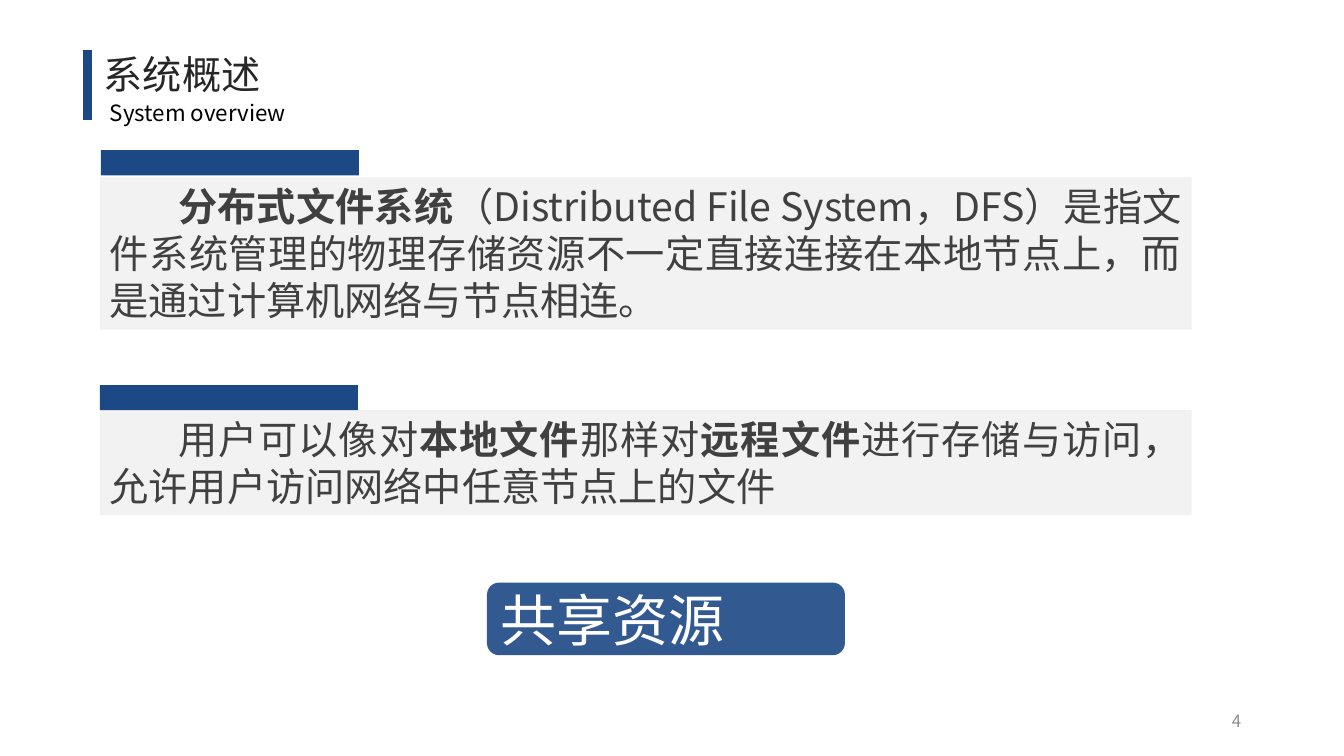
from dataclasses import dataclass

from lxml import etree
from pptx import Presentation
from pptx.dml.color import RGBColor
from pptx.enum.shapes import MSO_CONNECTOR, MSO_SHAPE
from pptx.enum.text import MSO_ANCHOR, PP_ALIGN
from pptx.oxml.ns import qn
from pptx.util import Inches, Pt

RECTANGLE, ROUNDED = MSO_SHAPE.RECTANGLE, MSO_SHAPE.ROUNDED_RECTANGLE
LEFT, RIGHT, JUSTIFY = PP_ALIGN.LEFT, PP_ALIGN.RIGHT, PP_ALIGN.JUSTIFY
TOP, MIDDLE = MSO_ANCHOR.TOP, MSO_ANCHOR.MIDDLE
FONT = "Noto Sans CJK SC"
TITLE_FONT = "Calibri"
COLORS = {
    "blue": "1C4885", "panel": "F2F2F2", "body": "404040", "title": "262626",
    "black": "000000", "number": "8C8C8C", "white": "FFFFFF",
}


@dataclass
class Panel:
    """A grey text panel with a blue tab above it; pieces are (text, bold)."""
    top: float
    height: float
    tab_left: float
    tab_top: float
    pieces: list[tuple[str, bool]]


PANELS = [
    Panel(1.76, 1.51, 1, 1.49, [
        ("分布式文件系统", True),
        ("（Distributed File System，DFS）是指文件系统管理的物理存储资源"
         "不一定直接连接在本地节点上，而是通过计算机网络与节点相连。", False),
    ]),
    Panel(4.07, 1.04, 0.99, 3.82, [
        ("用户可以像对", False),
        ("本地文件", True),
        ("那样对", False),
        ("远程文件", True),
        ("进行存储与访问，允许用户访问网络中任意节点上的文件", False),
    ]),
]


def color(name: str) -> RGBColor:
    return RGBColor.from_string(COLORS[name])


def add_block(slide, kind, left: float, top: float, width: float, height: float, fill: str):
    shape = slide.shapes.add_shape(
        kind, Inches(left), Inches(top), Inches(width), Inches(height))
    shape.shadow.inherit = False
    shape.fill.solid()
    shape.fill.fore_color.rgb = color(fill)
    shape.line.fill.background()
    return shape


def write(shape, pieces: list[tuple[str, bool]], size: float, text_color: str,
          align=LEFT, anchor=TOP, font_name: str = FONT):
    frame = shape.text_frame
    frame.word_wrap = True
    frame.vertical_anchor = anchor
    paragraph = frame.paragraphs[0]
    paragraph.alignment = align
    for text, bold in pieces:
        run = paragraph.add_run()
        run.text = text
        if bold:
            run.font.bold = True
    paragraph.font.name = font_name
    paragraph.font.size = Pt(size)
    paragraph.font.color.rgb = color(text_color)
    return paragraph


def add_label(slide, left: float, top: float, width: float, height: float,
              text: str, size: float, text_color: str, align=LEFT, anchor=TOP) -> None:
    box = slide.shapes.add_textbox(
        Inches(left), Inches(top), Inches(width), Inches(height))
    write(box, [(text, False)], size, text_color, align, anchor)


def add_panel(slide, panel: Panel) -> None:
    body = add_block(slide, RECTANGLE, 0.99, panel.top, 10.83, panel.height, "panel")
    paragraph = write(body, panel.pieces, 28, "body", JUSTIFY)
    paragraph._p.get_or_add_pPr().set("indent", str(Inches(0.68)))
    add_block(slide, RECTANGLE, panel.tab_left, panel.tab_top, 2.56, 0.25, "blue")


def main() -> None:
    presentation = Presentation()
    presentation.slide_width, presentation.slide_height = Inches(13.33), Inches(7.5)
    slide = presentation.slides.add_slide(presentation.slide_layouts[5])

    # Heading with its blue rule
    title = slide.shapes.title
    title.left, title.top = Inches(0.93), Inches(0.45)
    title.width, title.height = Inches(2.84), Inches(0.57)
    write(title, [("系统概述", False)], 28, "title", font_name=TITLE_FONT)
    add_label(slide, 0.99, 0.93, 3.4, 0.37, "System overview", 16, "black")
    rule = slide.shapes.add_connector(
        MSO_CONNECTOR.STRAIGHT, Inches(0.87), Inches(0.5), Inches(0.87), Inches(1.19))
    rule.line.color.rgb = color("blue")
    rule.line.width = Pt(6)
    etree.SubElement(rule._element.spPr, qn("a:effectLst"))

    # Definition panels
    for panel in PANELS:
        add_panel(slide, panel)

    # Conclusion, slightly transparent
    conclusion = add_block(slide, ROUNDED, 4.83, 5.78, 3.55, 0.72, "blue")
    write(conclusion, [("共享资源", False)], 40, "white", JUSTIFY, MIDDLE)
    fill_color = conclusion._element.spPr.find(f"{qn('a:solidFill')}/{qn('a:srgbClr')}")
    etree.SubElement(fill_color, qn("a:alpha")).set("val", "90000")

    # Slide number
    add_label(slide, 9.41, 6.95, 3, 0.4, "4", 12, "number", RIGHT, MIDDLE)

    presentation.save("out.pptx")


if __name__ == "__main__":
    main()
